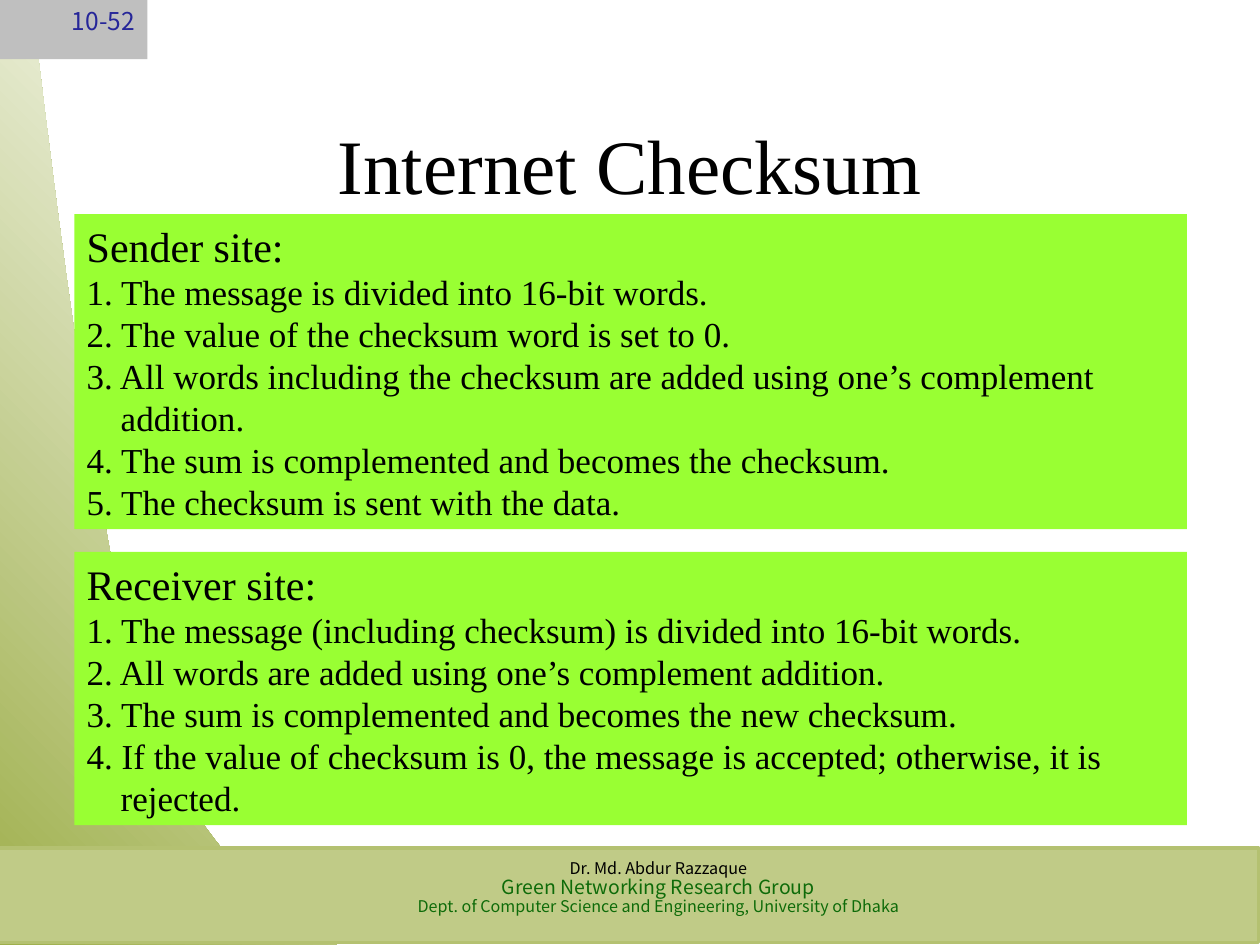
from dataclasses import dataclass
from typing import Optional

from pptx import Presentation
from pptx.dml.color import RGBColor
from pptx.enum.shapes import MSO_SHAPE
from pptx.enum.text import MSO_ANCHOR, PP_ALIGN
from pptx.util import Inches, Pt

RECTANGLE = MSO_SHAPE.RECTANGLE
TOP, MIDDLE = MSO_ANCHOR.TOP, MSO_ANCHOR.MIDDLE
LEFT, CENTER, RIGHT = PP_ALIGN.LEFT, PP_ALIGN.CENTER, PP_ALIGN.RIGHT

SERIF = "Times New Roman"
SANS = "Noto Sans CJK KR"
COLORS = {
    "black": "000000",
    "white": "FFFFFF",
    "olive": "9EAF4B",
    "lime": "99FF33",
    "footer": "C0CB87",
    "footer_edge": "B4C171",
    "green": "0E6B09",
    "grey": "BFBFBF",
    "navy": "262699",
}
STEP_INDENT = 0.27
CURVE_STEPS = 24


@dataclass
class Line:
    text: str
    size: float
    font: str = SERIF
    color: str = "black"
    align: PP_ALIGN = LEFT
    spacing: Optional[float] = None
    hanging: float = 0


@dataclass
class Box:
    left: float
    top: float
    width: float
    height: float
    fill: Optional[str] = None
    edge: Optional[str] = None
    anchor: MSO_ANCHOR = TOP


@dataclass
class Site:
    heading: str
    top: float
    height: float
    steps: list[str]


SITES = [
    Site("Sender site:", 1.7, 2.5, [
        "The message is divided into 16-bit words.",
        "The value of the checksum word is set to 0.",
        "All words including the checksum are added using one’s complement addition.",
        "The sum is complemented and becomes the checksum.",
        "The checksum is sent with the data.",
    ]),
    Site("Receiver site:", 4.38, 2.17, [
        "The message (including checksum) is divided into 16-bit words.",
        "All words are added using one’s complement addition.",
        "The sum is complemented and becomes the new checksum.",
        "If the value of checksum is 0, the message is accepted; otherwise, it is rejected.",
    ]),
]
FOOTER = [
    Line("Dr. Md. Abdur Razzaque", 9.2, SANS, "black", CENTER, 0.9),
    Line("Green Networking Research Group", 11.1, SANS, "green", CENTER, 0.9),
    Line("Dept. of Computer Science and Engineering, University of Dhaka",
         9.2, SANS, "green", CENTER, 0.9),
]
BAND_START = (2.67, 7.5)
BAND_CURVES = [
    [(2.23, 7.16), (1.57, 6.85), (1.16, 5.6)],
    [(0.76, 4.35), (0.36, 0.92), (0.25, 0)],
]


def rgb(name: str) -> RGBColor:
    return RGBColor.from_string(COLORS[name])


def write_lines(shape, lines: list[Line], anchor: MSO_ANCHOR) -> None:
    frame = shape.text_frame
    frame.word_wrap = True
    frame.vertical_anchor = anchor
    for index, line in enumerate(lines):
        para = frame.paragraphs[0] if index == 0 else frame.add_paragraph()
        para.text = line.text
        para.alignment = line.align
        if line.spacing:
            para.line_spacing = line.spacing
        if line.hanging:
            properties = para._p.get_or_add_pPr()
            properties.set("marL", str(Inches(line.hanging)))
            properties.set("indent", str(-Inches(line.hanging)))
        para.font.name = line.font
        para.font.size = Pt(line.size)
        para.font.color.rgb = rgb(line.color)


def draw_box(page, box: Box, lines: list[Line]) -> None:
    place = [Inches(v) for v in (box.left, box.top, box.width, box.height)]
    if box.fill:
        shape = page.shapes.add_shape(RECTANGLE, *place)
        shape.shadow.inherit = False
        shape.fill.solid()
        shape.fill.fore_color.rgb = rgb(box.fill)
        if box.edge:
            shape.line.color.rgb = rgb(box.edge)
            shape.line.width = Pt(2)
        else:
            shape.line.fill.background()
    else:
        shape = page.shapes.add_textbox(*place)
    write_lines(shape, lines, box.anchor)


def curve_points(start, first, second, end) -> list[tuple[float, float]]:
    points = []
    for step in range(1, CURVE_STEPS + 1):
        t = step / CURVE_STEPS
        weights = ((1 - t) ** 3, 3 * t * (1 - t) ** 2, 3 * t ** 2 * (1 - t), t ** 3)
        corners = (start, first, second, end)
        points.append(tuple(sum(w * c[axis] for w, c in zip(weights, corners))
                            for axis in (0, 1)))
    return points


def draw_side_band(page) -> None:
    outline = [(0, 7.5), BAND_START]
    for curve in BAND_CURVES:
        outline += curve_points(outline[-1], *curve)
    builder = page.shapes.build_freeform(0, 0, scale=1.0)
    builder.add_line_segments([(Inches(x), Inches(y)) for x, y in outline], close=True)
    band = builder.convert_to_shape()
    band.shadow.inherit = False
    band.line.fill.background()
    band.fill.gradient()
    band.fill.gradient_angle = 45
    for stop, position, color in zip(band.fill.gradient_stops, (0, 1), ("olive", "white")):
        stop.position = position
        stop.color.rgb = rgb(color)


def draw_site(page, site: Site) -> None:
    lines = [Line(site.heading, 24)]
    lines += [Line(f"{number}. {step}", 20, hanging=STEP_INDENT)
              for number, step in enumerate(site.steps, 1)]
    draw_box(page, Box(0.59, site.top, 8.83, site.height, "lime"), lines)


def main() -> None:
    deck = Presentation()
    deck.slide_width, deck.slide_height = Inches(10), Inches(7.5)
    page = deck.slides.add_slide(deck.slide_layouts[6])
    draw_side_band(page)
    draw_box(page, Box(0.75, 0.67, 8.5, 1.25, anchor=MIDDLE),
             [Line("Internet Checksum", 44, align=CENTER)])
    for site in SITES:
        draw_site(page, site)
    draw_box(page, Box(-0.01, 6.73, 10, 0.75, "footer", "footer_edge"), [])
    draw_box(page, Box(1.68, 6.78, 7.09, 0.62), FOOTER)
    draw_box(page, Box(0, 0, 1.17, 0.47, "grey"),
             [Line("10-52", 14, SANS, "navy", RIGHT)])
    deck.save("out.pptx")


if __name__ == "__main__":
    main()
